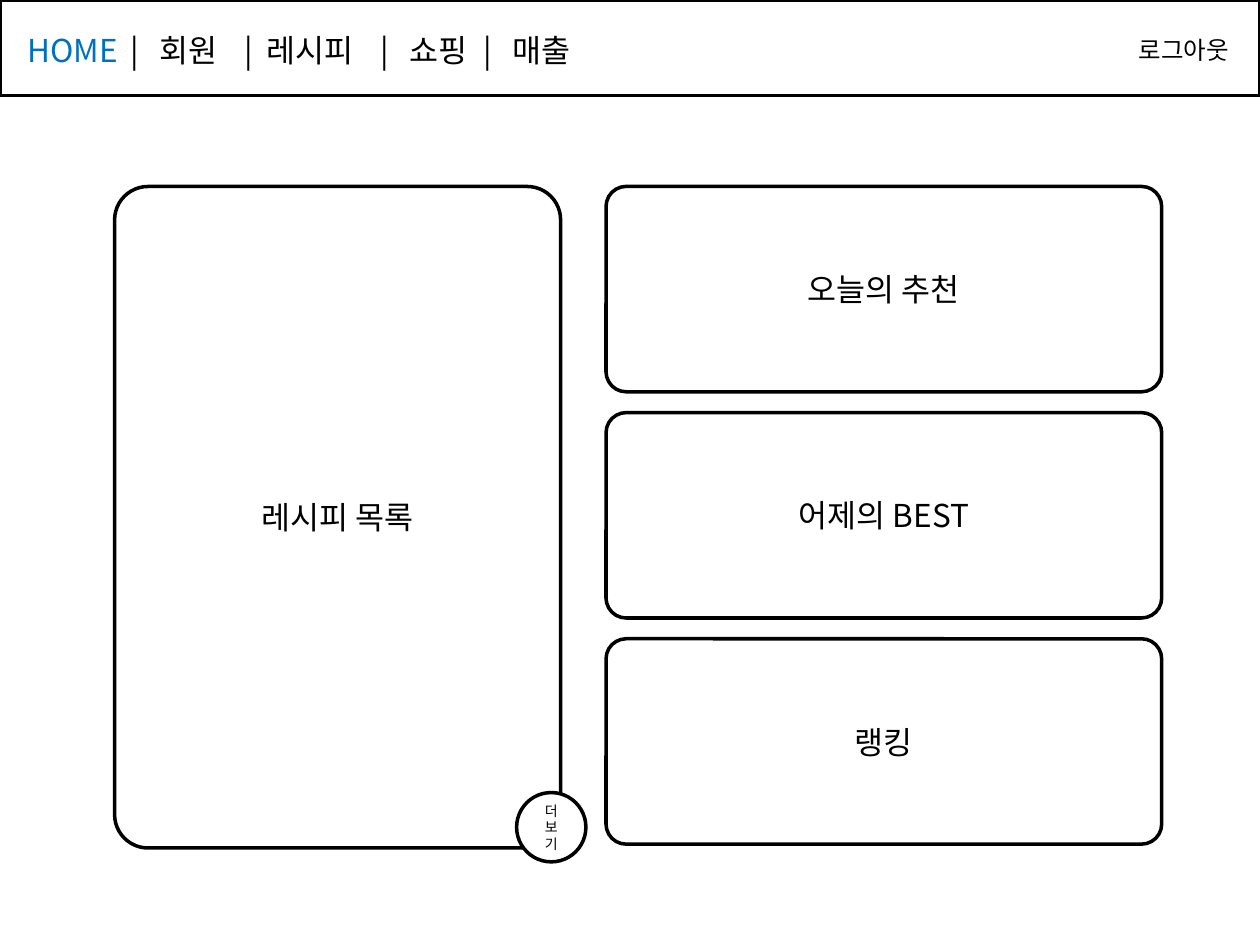
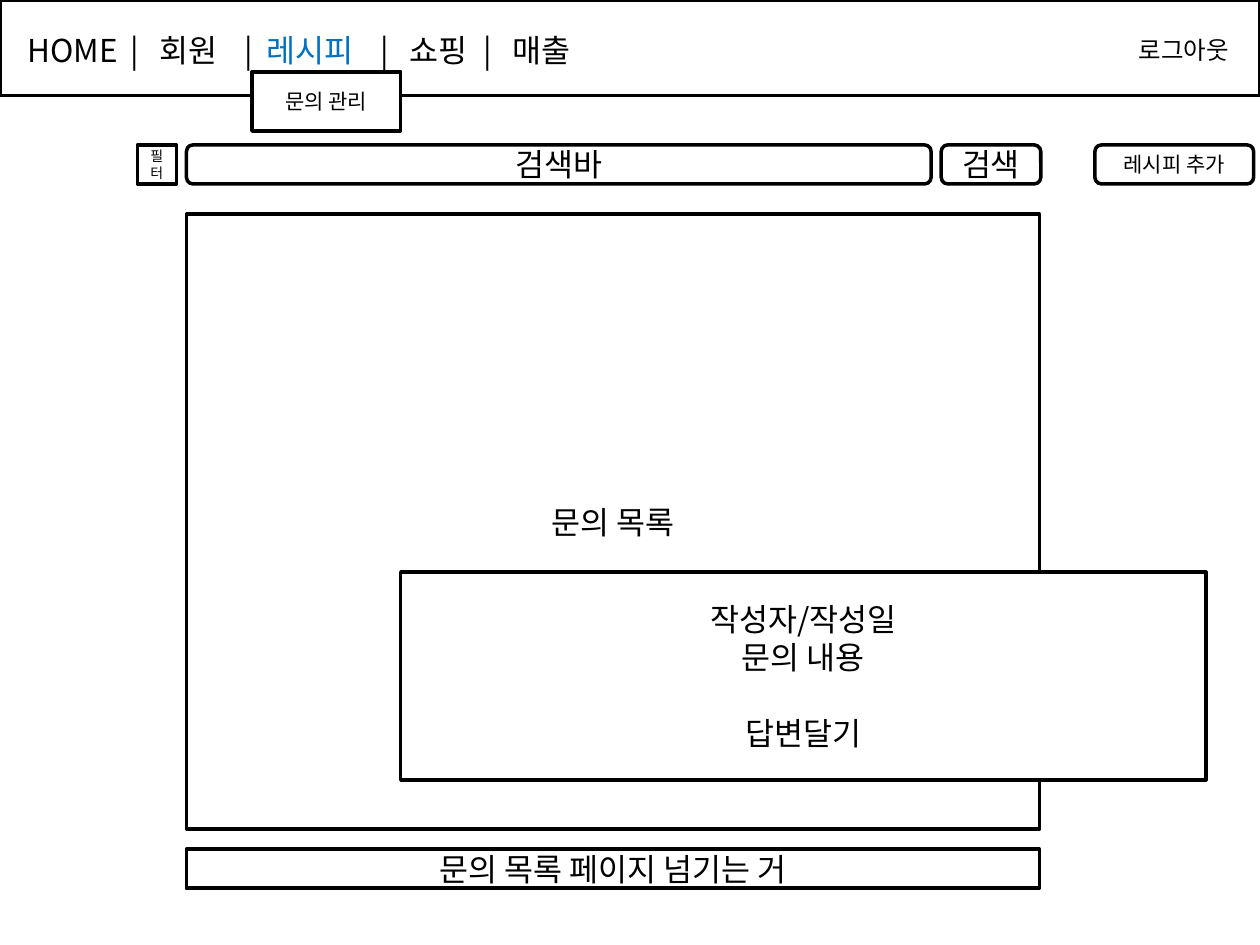
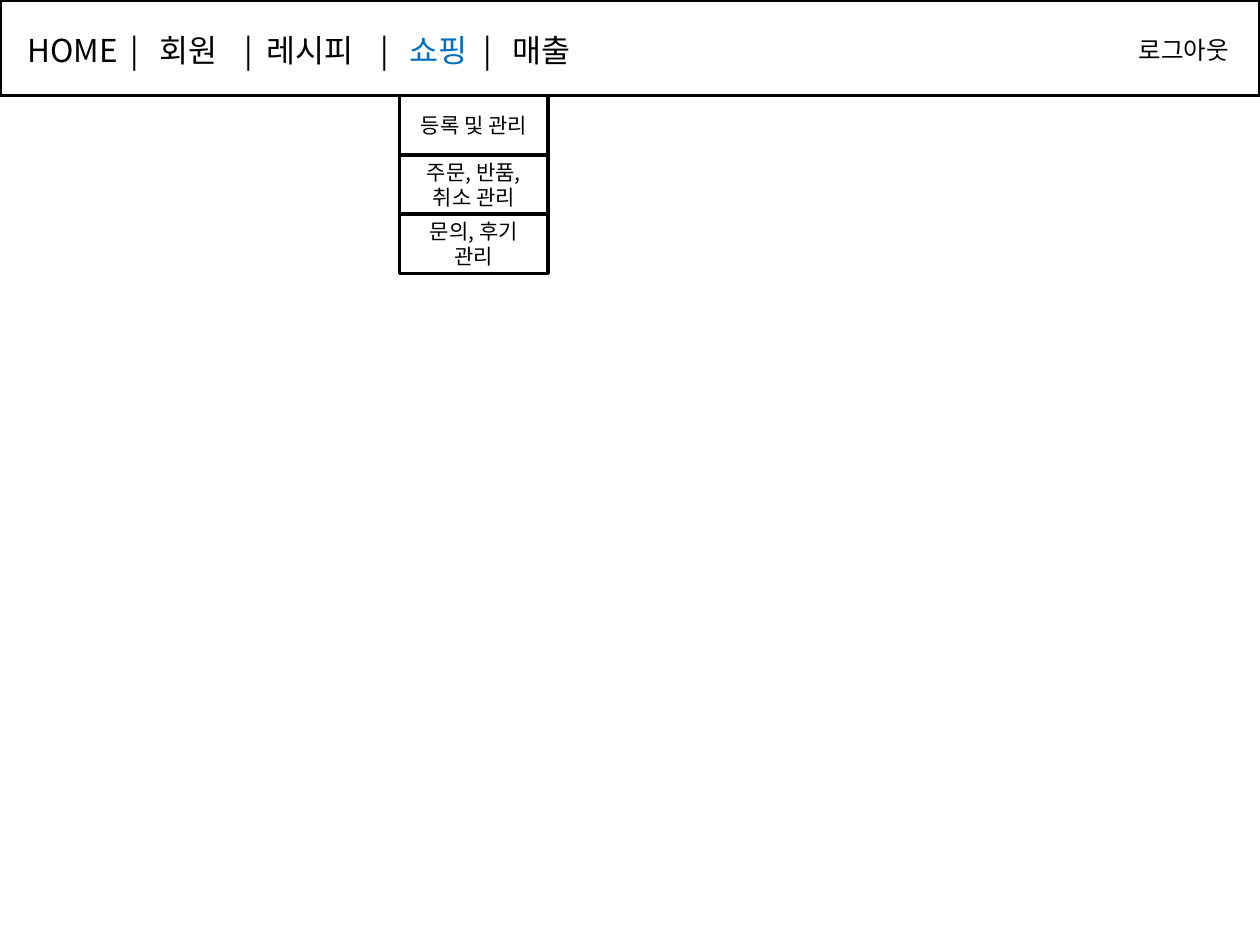
from lxml.etree import SubElement
from pptx import Presentation
from pptx.dml.color import RGBColor
from pptx.enum.shapes import MSO_SHAPE
from pptx.enum.text import MSO_ANCHOR, MSO_AUTO_SIZE, PP_ALIGN
from pptx.oxml.ns import qn
from pptx.util import Inches, Pt

COLUMNS, ROWS = 100, 75
CELL = Inches(0.1)
BLACK = RGBColor(0, 0, 0)
WHITE = RGBColor(255, 255, 255)
ACTIVE = RGBColor(0x00, 0x70, 0xC0)
FONT = "Noto Sans CJK KR"
BODY_SIZE, SMALL_SIZE, TINY_SIZE = 18, 12, 8
BLANK_LINE = Pt(21.6)
HEADER_HEIGHT = 7.6
MENU = ["HOME", "회원", "레시피", "쇼핑", "매출"]
MENU_STOPS = [0.82, 1.05, 1.72, 1.9, 2.8, 3.03, 3.62, 3.85]
MENU_ITEM_SIZE = (11.8, 4.7)


def grid(*cells):
    return [round(cell * CELL) for cell in cells]


def style_span(span, size, color=BLACK):
    span.font.size = Pt(size)
    span.font.name = FONT
    span.font.color.rgb = color
    SubElement(span.font._element, qn("a:ea"), typeface=FONT)


def add_box(page, place, text="", size=BODY_SIZE, kind=MSO_SHAPE.RECTANGLE, corner=None):
    box = page.shapes.add_shape(kind, *grid(*place))
    box.shadow.inherit = False
    box.fill.solid()
    box.fill.fore_color.rgb = WHITE
    box.line.color.rgb = BLACK
    box.line.width = Pt(2)
    if corner is not None:
        box.adjustments[0] = corner
    if text:
        box.text_frame.text = text
        box.text_frame.vertical_anchor = MSO_ANCHOR.MIDDLE
        for para in box.text_frame.paragraphs:
            para.alignment = PP_ALIGN.CENTER
            for span in para.runs:
                style_span(span, size)
    return box


def add_rounded(page, place, text, size=BODY_SIZE, corner=None):
    return add_box(page, place, text, size, MSO_SHAPE.ROUNDED_RECTANGLE, corner)


def add_label(page, place):
    label = page.shapes.add_textbox(*grid(*place))
    label.text_frame.word_wrap = True
    label.text_frame.auto_size = MSO_AUTO_SIZE.SHAPE_TO_FIT_TEXT
    return label.text_frame.paragraphs[0]


def add_header(page, active):
    add_box(page, (0, 0, COLUMNS, HEADER_HEIGHT))
    para = add_label(page, (1.2, 2, 66.9, 4))
    stops = SubElement(para._p.get_or_add_pPr(), qn("a:tabLst"))
    for stop in MENU_STOPS:
        SubElement(stops, qn("a:tab"), pos=str(Inches(stop)), algn="l")
    for index, name in enumerate(MENU):
        if index:
            separator = para.add_run()
            separator.text = "\t|\t"
            style_span(separator, BODY_SIZE)
        span = para.add_run()
        span.text = name
        style_span(span, BODY_SIZE, ACTIVE if name == active else BLACK)
    logout = add_label(page, (89.4, 2.3, 10.6, 3.4))
    logout.text = "로그아웃"
    style_span(logout.runs[0], 14)


def add_dropdown(page, left, top, items):
    width, height = MENU_ITEM_SIZE
    for index, item in enumerate(items):
        add_box(page, (left, top + index * height, width, height), item, SMALL_SIZE)


def add_page(deck, active):
    page = deck.slides.add_slide(deck.slide_layouts[6])
    add_header(page, active)
    return page


def build_home(deck):
    page = add_page(deck, "HOME")
    top, pitch = 14.8, 17.95
    add_rounded(page, (9.1, top, 35.4, 52.5), "레시피 목록", corner=0.075)
    for index, name in enumerate(["오늘의 추천", "어제의 BEST", "랭킹"]):
        add_rounded(page, (48.1, top + index * pitch, 44.1, 16.3), name, corner=0.098)
    add_box(page, (41, 62.9, 5.5, 5.5), "더보기", TINY_SIZE, MSO_SHAPE.OVAL)


def build_recipes(deck):
    page = add_page(deck, "레시피")
    left, width = 14.8, 67.7
    bar_top, bar_height = 11.5, 3.1
    add_rounded(page, (left, bar_top, 59.1, bar_height), "검색바")
    add_rounded(page, (74.7, bar_top, 7.9, bar_height), "검색")
    add_box(page, (left, 17, width, 48.8), "문의 목록")
    add_box(page, (left, 67.4, width, bar_height), "문의 목록 페이지 넘기는 거")
    add_box(page, (10.9, bar_top, bar_height, bar_height), "필터", TINY_SIZE)
    add_rounded(page, (86.9, bar_top, 12.6, bar_height), "레시피 추가", SMALL_SIZE)
    add_dropdown(page, 20, 5.7, ["문의 관리"])
    inquiry = add_box(page, (31.8, 45.4, 63.9, 16.5), "작성자/작성일\n문의 내용\n답변달기")
    inquiry.text_frame.paragraphs[-1].space_before = BLANK_LINE


def build_shopping(deck):
    page = add_page(deck, "쇼핑")
    items = ["등록 및 관리", "주문, 반품, 취소 관리", "문의, 후기 관리"]
    add_dropdown(page, 31.7, HEADER_HEIGHT, items)


def main():
    deck = Presentation()
    deck.slide_width, deck.slide_height = grid(COLUMNS, ROWS)
    build_home(deck)
    build_recipes(deck)
    build_shopping(deck)
    deck.save("out.pptx")


main()
